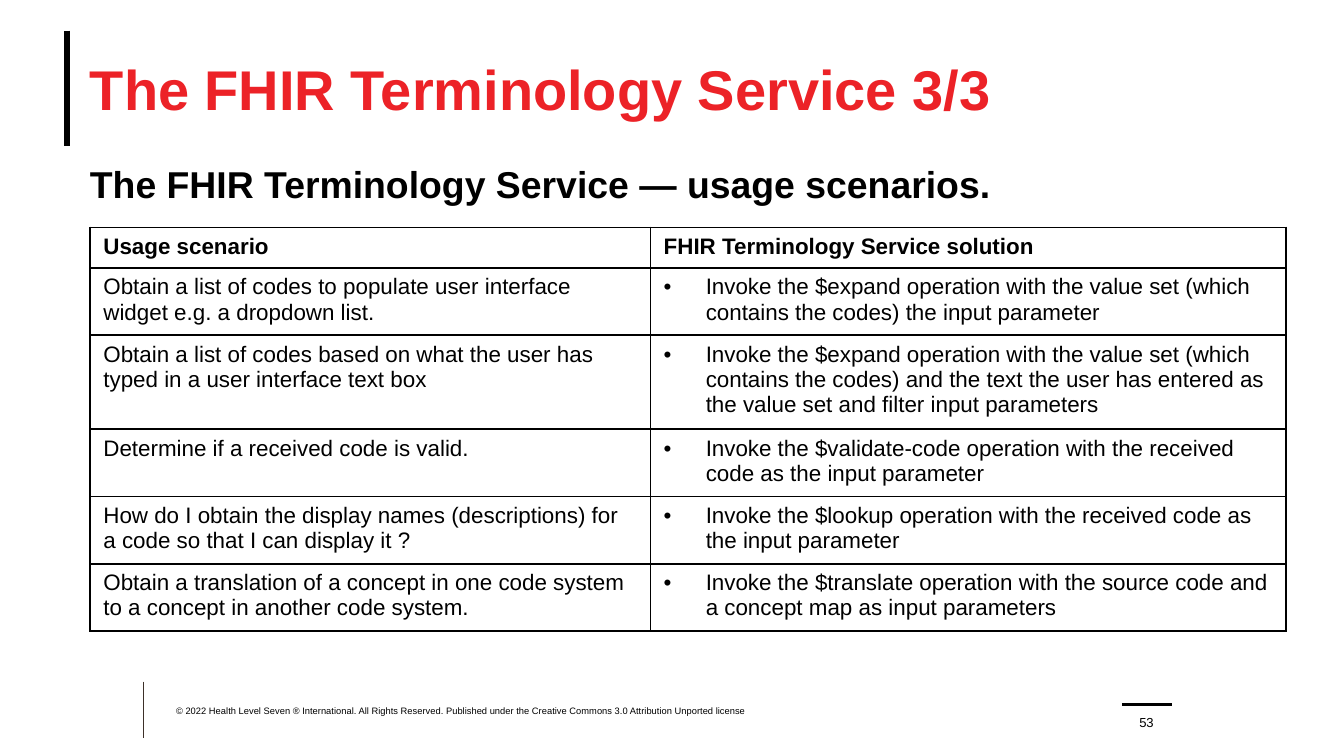
from dataclasses import dataclass

from lxml import etree
from pptx import Presentation
from pptx.dml.color import RGBColor
from pptx.enum import shapes, text
from pptx.oxml import ns
from pptx.util import Pt


@dataclass(frozen=True)
class Theme:
    font: str = "Arial"
    red: str = "EC2227"
    black: str = "000000"
    brown: str = "3D3029"
    title: float = 30
    subtitle: float = 20
    body: float = 12
    page: float = 7
    legal: float = 5


THEME = Theme()

SCENARIOS = [
    ("Usage scenario", "FHIR Terminology Service solution"),
    ("Obtain a list of codes to populate user interface widget e.g. a dropdown list.",
     "Invoke the $expand operation with the value set (which contains the codes) the input parameter"),
    ("Obtain a list of codes based on what the user has typed in a user interface text box",
     "Invoke the $expand operation with the value set (which contains the codes) and the text "
     "the user has entered as the value set and filter input parameters"),
    ("Determine if a received code is valid.",
     "Invoke the $validate-code operation with the received code as the input parameter"),
    ("How do I obtain the display names (descriptions) for a code so that I can display it ?",
     "Invoke the $lookup operation with the received code as the input parameter"),
    ("Obtain a translation of a concept in one code system to a concept in another code system.",
     "Invoke the $translate operation with the source code and a concept map as input parameters"),
]


def add_run(p, words, size, color=THEME.black, bold=False):
    r = p.add_run()
    r.text = words
    r.font.name = THEME.font
    r.font.size = Pt(size)
    r.font.bold = bold
    r.font.color.rgb = RGBColor.from_string(color)


def add_text(s, box, words, size, color=THEME.black, bold=False,
             anchor=text.MSO_ANCHOR.TOP, align=text.PP_ALIGN.LEFT, bottom=0):
    tf = s.shapes.add_textbox(*map(Pt, box)).text_frame
    tf.word_wrap = True
    tf.margin_left = tf.margin_top = tf.margin_right = 0
    tf.margin_bottom = Pt(bottom)
    tf.vertical_anchor = anchor
    p = tf.paragraphs[0]
    p.alignment = align
    add_run(p, words, size, color, bold)


def add_line(s, x1, y1, x2, y2, width, color=THEME.black):
    line = s.shapes.add_connector(shapes.MSO_CONNECTOR.STRAIGHT, *map(Pt, (x1, y1, x2, y2)))
    line.line.width = Pt(width)
    line.line.color.rgb = RGBColor.from_string(color)
    etree.SubElement(line._element.spPr, ns.qn("a:effectLst"))


def add_bullet(p, indent):
    pPr = p._p.get_or_add_pPr()
    pPr.set("marL", str(Pt(indent)))
    pPr.set("indent", str(-Pt(indent)))
    etree.SubElement(pPr, ns.qn("a:buFont"), typeface=THEME.font)
    etree.SubElement(pPr, ns.qn("a:buChar"), char="•")


def add_borders(cell, width):
    tcPr = cell._tc.get_or_add_tcPr()
    for i, side in enumerate(("lnL", "lnR", "lnT", "lnB")):
        ln = etree.Element(ns.qn(f"a:{side}"), w=str(Pt(width)))
        fill = etree.SubElement(ln, ns.qn("a:solidFill"))
        etree.SubElement(fill, ns.qn("a:srgbClr"), val=THEME.black)
        tcPr.insert(i, ln)


def add_header(s, x, y, w, h):
    add_line(s, x - 12.2, y, x - 12.2, y + h, 3.25)
    add_text(s, (x, y, w, h), "The FHIR Terminology Service 3/3", THEME.title,
             THEME.red, True, text.MSO_ANCHOR.MIDDLE)


def add_scenarios(s, x, y, w, h):
    first_col, header_row, line = 300.2, 20.6, 13.4
    rows = len(SCENARIOS)
    two_lines = (h - header_row - line) / (rows - 1)
    table = s.shapes.add_table(rows, 2, *map(Pt, (x, y, w, h))).table
    table.first_row = table.horz_banding = False
    table.columns[0].width = Pt(first_col)
    table.columns[1].width = Pt(w - first_col)
    for i, row in enumerate(SCENARIOS):
        tall = line if i == 2 else 0
        table.rows[i].height = Pt(two_lines + tall if i else header_row)
        for j, words in enumerate(row):
            cell = table.cell(i, j)
            cell.fill.background()
            add_borders(cell, 1)
            p = cell.text_frame.paragraphs[0]
            if i and j:
                add_bullet(p, 22.5)
            add_run(p, words, THEME.body, bold=i == 0)


def add_footer(s, x, y, w, h):
    add_line(s, x, y, x, y + h, 0.5, THEME.brown)
    add_text(s, (x + 17.3, y + 12.2, 356.4, 12.2),
             "© 2022 Health Level Seven ® International. All Rights Reserved. "
             "Published under the Creative Commons 3.0 Attribution Unported license",
             THEME.legal, anchor=text.MSO_ANCHOR.BOTTOM, bottom=5.7)
    right = x + w
    add_line(s, right - 26.8, y + 12.2, right, y + 12.2, 2)
    add_text(s, (right - 24.4, y + 13.7, 21.6, 12.2), "53", THEME.page,
             anchor=text.MSO_ANCHOR.BOTTOM, align=text.PP_ALIGN.CENTER)


def main():
    prs = Presentation()
    prs.slide_width, prs.slide_height = Pt(720), Pt(405)
    s = prs.slides.add_slide(prs.slide_layouts[6])
    add_header(s, 48.2, 16.4, 648, 61.6)
    add_text(s, (48.2, 86.4, 648, 280), "The FHIR Terminology Service — usage scenarios.",
             THEME.subtitle, bold=True)
    add_scenarios(s, 48.2, 121.9, 640.8, 204)
    add_footer(s, 77, 365.2, 550.8, 30.2)
    prs.save("out.pptx")


if __name__ == "__main__":
    main()
